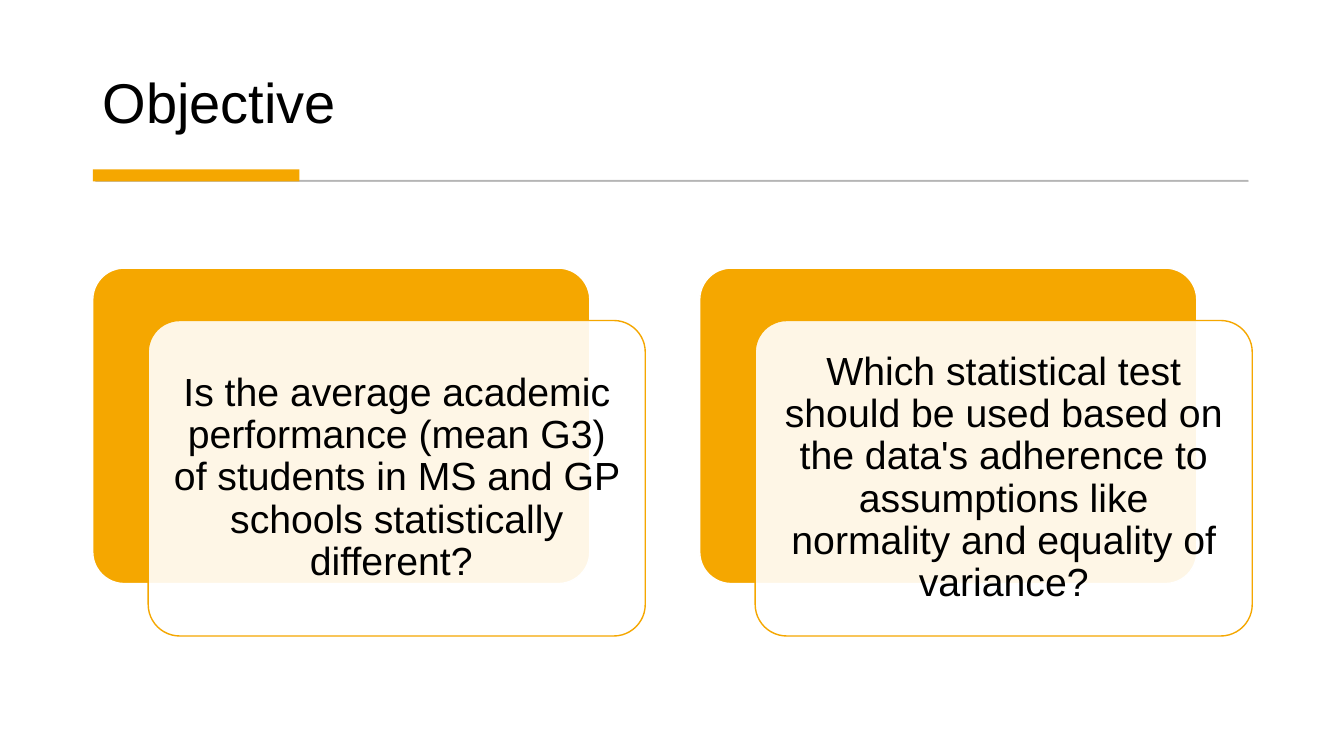
from dataclasses import dataclass

from lxml.etree import SubElement
from pptx import Presentation
from pptx.dml.color import RGBColor
from pptx.enum.shapes import MSO_SHAPE
from pptx.enum.text import MSO_ANCHOR, PP_ALIGN
from pptx.oxml.ns import qn
from pptx.util import Inches, Pt

AMBER = RGBColor(0xF5, 0xA7, 0x00)
GRAY = RGBColor(0x59, 0x59, 0x59)
WHITE = RGBColor(0xFF, 0xFF, 0xFF)
BLACK = RGBColor(0x00, 0x00, 0x00)

CARD_WIDTH, CARD_HEIGHT = 4.93, 3.13
CARD_TOP = 2.66
OFFSET_X, OFFSET_Y = 0.55, 0.52


@dataclass(frozen=True)
class Card:
    left: float
    question: str


CARDS = [
    Card(0.92, "Is the average academic performance (mean G3) of students "
               "in MS and GP schools statistically different? "),
    Card(6.94, "Which statistical test should be used based on the data's "
               "adherence to assumptions like normality and equality of variance?"),
]


def set_opacity(color_format, percent: int) -> None:
    """Set the opacity of a solid fill."""
    color = color_format._xPr.find(qn("a:solidFill"))[0]
    SubElement(color, qn("a:alpha")).set("val", str(percent * 1000))


def add_box(page, kind, left: float, top: float, width: float, height: float, *,
            fill: RGBColor, line: RGBColor | None = None, opacity: int = 100):
    box = page.shapes.add_shape(kind, Inches(left), Inches(top),
                                Inches(width), Inches(height))
    box.shadow.inherit = False
    box.fill.solid()
    box.fill.fore_color.rgb = fill
    if opacity < 100:
        set_opacity(box.fill, opacity)
    if line is None:
        box.line.fill.background()
    else:
        box.line.color.rgb = line
        box.line.width = Pt(1)
    return box


def write(box, text: str, *, size: int, align=PP_ALIGN.LEFT,
          anchor=MSO_ANCHOR.MIDDLE, inset_x: float = 0.1,
          inset_y: float = 0.05) -> None:
    frame = box.text_frame
    frame.word_wrap = True
    frame.vertical_anchor = anchor
    frame.margin_left = frame.margin_right = Inches(inset_x)
    frame.margin_top = frame.margin_bottom = Inches(inset_y)
    para = frame.paragraphs[0]
    para.alignment = align
    para.line_spacing = 0.9
    span = para.add_run()
    span.text = text
    span.font.name = "Arial"
    span.font.size = Pt(size)
    span.font.color.rgb = BLACK


def add_card(page, card: Card) -> None:
    back = add_box(page, MSO_SHAPE.ROUNDED_RECTANGLE, card.left, CARD_TOP,
                   CARD_WIDTH, CARD_HEIGHT, fill=AMBER, line=WHITE)
    front = add_box(page, MSO_SHAPE.ROUNDED_RECTANGLE, card.left + OFFSET_X,
                    CARD_TOP + OFFSET_Y, CARD_WIDTH, CARD_HEIGHT,
                    fill=WHITE, line=AMBER, opacity=90)
    for box in (back, front):
        box.adjustments[0] = 0.1
    write(front, card.question, size=28, align=PP_ALIGN.CENTER,
          inset_x=0.12, inset_y=0.12)


def main() -> None:
    deck = Presentation()
    deck.slide_width, deck.slide_height = Inches(13.33), Inches(7.5)
    page = deck.slides.add_slide(deck.slide_layouts[6])

    # Title
    title = page.shapes.add_textbox(Inches(0.92), Inches(0.28),
                                    Inches(11.49), Inches(1.11))
    write(title, "Objective", size=40, anchor=MSO_ANCHOR.BOTTOM)

    # Rule with accent bar
    rule = add_box(page, MSO_SHAPE.RECTANGLE, 0.95, 1.79, 11.43, 0.01,
                   fill=GRAY, line=GRAY, opacity=30)
    rule.line.width = Pt(0.75)
    set_opacity(rule.line.fill, 30)
    add_box(page, MSO_SHAPE.RECTANGLE, 0.92, 1.68, 2.05, 0.12, fill=AMBER)

    # Question cards
    for card in CARDS:
        add_card(page, card)

    deck.save("out.pptx")


if __name__ == "__main__":
    main()
